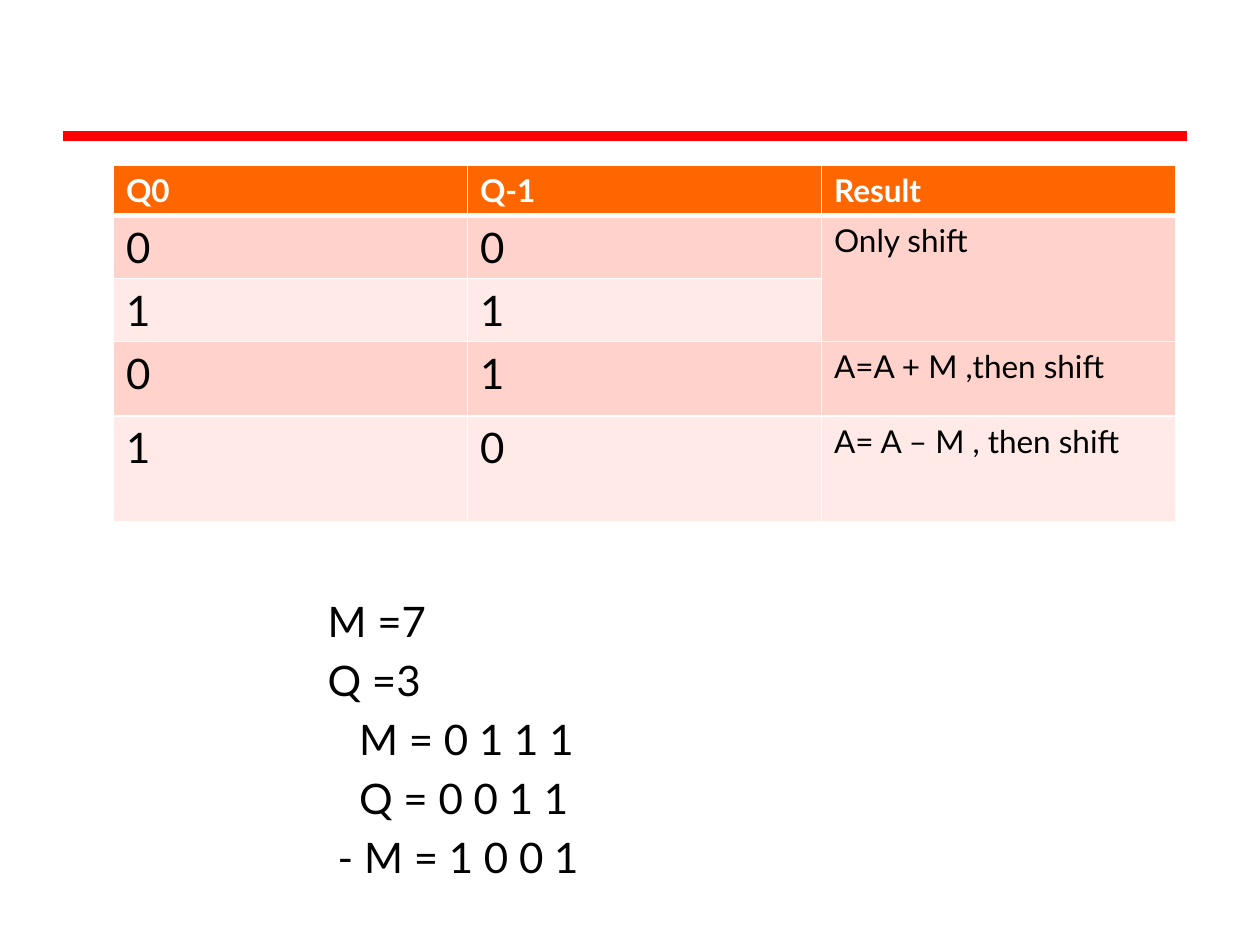
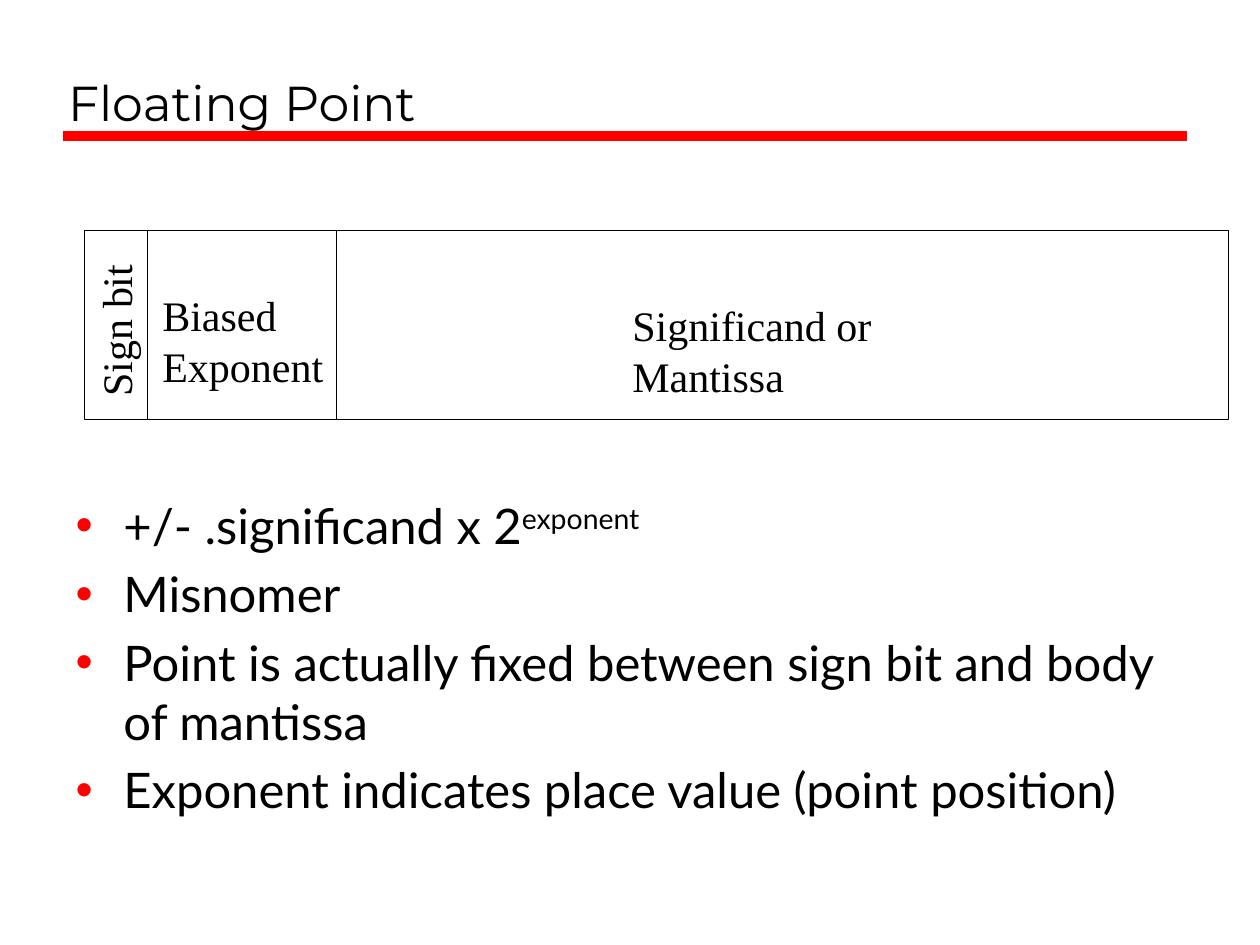
from dataclasses import dataclass
from itertools import accumulate
from typing import NamedTuple

from lxml.etree import SubElement
from pptx import Presentation
from pptx.dml.color import RGBColor
from pptx.enum.shapes import MSO_CONNECTOR as Connector, MSO_SHAPE as Shape
from pptx.enum.text import MSO_ANCHOR as Anchor, MSO_AUTO_SIZE as AutoSize, PP_ALIGN as Align
from pptx.oxml.ns import qn
from pptx.util import Inches, Pt


@dataclass(frozen=True)
class Theme:
    black: str = "000000"
    white: str = "FFFFFF"
    rule: str = "FF0000"
    header: str = "FF6600"
    bands: tuple = ("FFD3CB", "FFEAE7")
    body_font: str = "Lato"
    title_font: str = "Montserrat"
    diagram_font: str = "Times New Roman"
    large: int = 28
    medium: int = 24
    small: int = 18


THEME = Theme()


class Area(NamedTuple):
    left: float
    top: float
    width: float
    height: float

    def lengths(self) -> list:
        return [Inches(value) for value in self]


class Span(NamedTuple):
    text: str
    baseline: int = 0


class Line(NamedTuple):
    spans: list
    indent: float = 0


class Label(NamedTuple):
    lines: list
    area: Area
    rotation: int = 0


TITLE_AREA = Area(0.44, 0.17, 8.97, 0.92)
FIELD_TOP, FIELD_HEIGHT, FIELD_LEFT = 1.83, 1.5, 0.67
FIELD_WIDTHS = [0.5, 1.5, 7.08]
FIELD_LABELS = [
    Label(["Sign bit"], Area(0.29, 2.37, 1.25, 0.5), 270),
    Label(["Biased", "Exponent"], Area(1.19, 2.25, 1.5, 0.9)),
    Label(["Significand or Mantissa"], Area(4.92, 2.33, 3.35, 0.9)),
]
BOOTH_ROWS = [
    ("Q0", "Q-1", "Result"),
    ("0", "0", "Only shift"),
    ("1", "1", ""),
    ("0", "1", "A=A + M ,then shift"),
    ("1", "0", "A= A – M , then shift"),
]
BOOTH_HEIGHTS = [0.4, 0.5, 0.5, 0.59, 0.84]
BOOTH_COLUMN = 2.81
OPERANDS = [
    Line([Span("M =7")]),
    Line([Span("Q =3")]),
    Line([Span("M = 0 1 1 1")], 0.25),
    Line([Span("Q = 0 0 1 1")], 0.25),
    Line([Span("- M = 1 0 0 1")], 0.08),
]
POINTS = [
    Line([Span("+/- .significand x 2"), Span("exponent", 30)]),
    Line([Span("Misnomer")]),
    Line([Span("Point is actually fixed between sign bit and body of mantissa")]),
    Line([Span("Exponent indicates place value (point position)")]),
]


def color(value: str) -> RGBColor:
    return RGBColor.from_string(value)


def set_bullet(para, bullet: bool) -> None:
    props = para._p.get_or_add_pPr()
    if bullet:
        SubElement(SubElement(props, qn("a:buClr")), qn("a:srgbClr"), val=THEME.rule)
        SubElement(props, qn("a:buFont"), typeface="Arial")
        SubElement(props, qn("a:buChar"), char="•")
    else:
        SubElement(props, qn("a:buNone"))


def write(frame, lines: list, *, size: int, font: str = THEME.body_font,
          fill: str = THEME.black, bold: bool = False, bullet: bool = False,
          gap: float = 0, anchor=Anchor.TOP) -> None:
    """Fill a text frame; a plain string stands for a line with one span."""
    frame.word_wrap = True
    frame.vertical_anchor = anchor
    for index, item in enumerate(lines):
        line = Line([Span(item)]) if isinstance(item, str) else item
        para = frame.add_paragraph() if index else frame.paragraphs[0]
        set_bullet(para, bullet)
        props = para._p.get_or_add_pPr()
        hanging = Inches(0.38) if bullet else 0
        props.set("marL", str(hanging + Inches(line.indent)))
        props.set("indent", str(-hanging))
        para.alignment = Align.LEFT
        para.space_before = Pt(gap if index else 0)
        for span in line.spans:
            run = para.add_run()
            run.text = span.text
            run.font.name, run.font.size, run.font.bold = font, Pt(size), bold
            run.font.color.rgb = color(fill)
            if span.baseline:
                run._r.get_or_add_rPr().set("baseline", str(span.baseline * 1000))


def place(shape, area: Area) -> None:
    shape.left, shape.top, shape.width, shape.height = area.lengths()


def fill_body(page, area: Area, lines: list, **text_format) -> None:
    body = page.placeholders[1]
    place(body, area)
    body.text_frame.auto_size = AutoSize.NONE
    write(body.text_frame, lines, **text_format)


def add_page(deck, title: str = ""):
    """Add a slide with the red rule, and a title when one is given."""
    page = deck.slides.add_slide(deck.slide_layouts[1])
    heading = page.shapes.title
    if title:
        place(heading, TITLE_AREA)
        heading.text_frame.auto_size = AutoSize.NONE
        write(heading.text_frame, [title], size=THEME.large,
              font=THEME.title_font, anchor=Anchor.BOTTOM)
    else:
        heading._element.getparent().remove(heading._element)
    rule = page.shapes.add_connector(
        Connector.STRAIGHT, Inches(0.5), Inches(1.08), Inches(9.42), Inches(1.08))
    rule.line.color.rgb = color(THEME.rule)
    rule.line.width = Pt(6)
    SubElement(rule._element.spPr, qn("a:effectLst"))
    return page


def set_borders(cell, top: float, bottom: float) -> None:
    """Draw white cell borders; call before the cell is filled."""
    props = cell._tc.get_or_add_tcPr()
    for side, width in (("L", 1), ("R", 1), ("T", top), ("B", bottom)):
        edge = SubElement(props, qn(f"a:ln{side}"), w=str(Pt(width)))
        SubElement(SubElement(edge, qn("a:solidFill")), qn("a:srgbClr"), val=THEME.white)


def add_booth_table(page) -> None:
    columns = len(BOOTH_ROWS[0])
    area = Area(0.9, 1.31, columns * BOOTH_COLUMN, sum(BOOTH_HEIGHTS))
    table = page.shapes.add_table(len(BOOTH_ROWS), columns, *area.lengths()).table
    for column in table.columns:
        column.width = Inches(BOOTH_COLUMN)
    for row, (height, texts) in enumerate(zip(BOOTH_HEIGHTS, BOOTH_ROWS)):
        table.rows[row].height = Inches(height)
        is_header = row == 0
        for column, text in enumerate(texts):
            cell = table.cell(row, column)
            set_borders(cell, 3 if row == 1 else 1, 3 if is_header else 1)
            cell.fill.solid()
            cell.fill.fore_color.rgb = color(
                THEME.header if is_header else THEME.bands[(row - 1) % 2])
            if text:
                is_digit = not is_header and column < columns - 1
                write(cell.text_frame, [text], bold=is_header,
                      size=THEME.medium if is_digit else THEME.small,
                      fill=THEME.white if is_header else THEME.black)
    table.cell(1, 2).merge(table.cell(2, 2))


def add_field(page, area: Area) -> None:
    field = page.shapes.add_shape(Shape.RECTANGLE, *area.lengths())
    field.shadow.inherit = False
    field.fill.background()
    field.line.color.rgb = color(THEME.black)
    field.line.width = Pt(0.75)


def add_label(page, label: Label) -> None:
    box = page.shapes.add_textbox(*label.area.lengths())
    box.rotation = label.rotation
    write(box.text_frame, label.lines, size=THEME.medium, font=THEME.diagram_font)


def build_booth_page(deck) -> None:
    page = add_page(deck)
    fill_body(page, Area(2.5, 4.68, 6.94, 2.66), OPERANDS, size=THEME.medium, gap=4.8)
    add_booth_table(page)


def build_floating_point_page(deck) -> None:
    page = add_page(deck, "Floating Point")
    fill_body(page, Area(0.5, 3.88, 8.94, 2.87), POINTS,
              size=THEME.large, bullet=True, gap=5.6)
    lefts = accumulate(FIELD_WIDTHS, initial=FIELD_LEFT)
    for left, width in zip(lefts, FIELD_WIDTHS):
        add_field(page, Area(left, FIELD_TOP, width, FIELD_HEIGHT))
    for label in FIELD_LABELS:
        add_label(page, label)


def main() -> None:
    deck = Presentation()
    deck.slide_width, deck.slide_height = Inches(10), Inches(7.5)
    build_booth_page(deck)
    build_floating_point_page(deck)
    deck.save("out.pptx")


if __name__ == "__main__":
    main()
